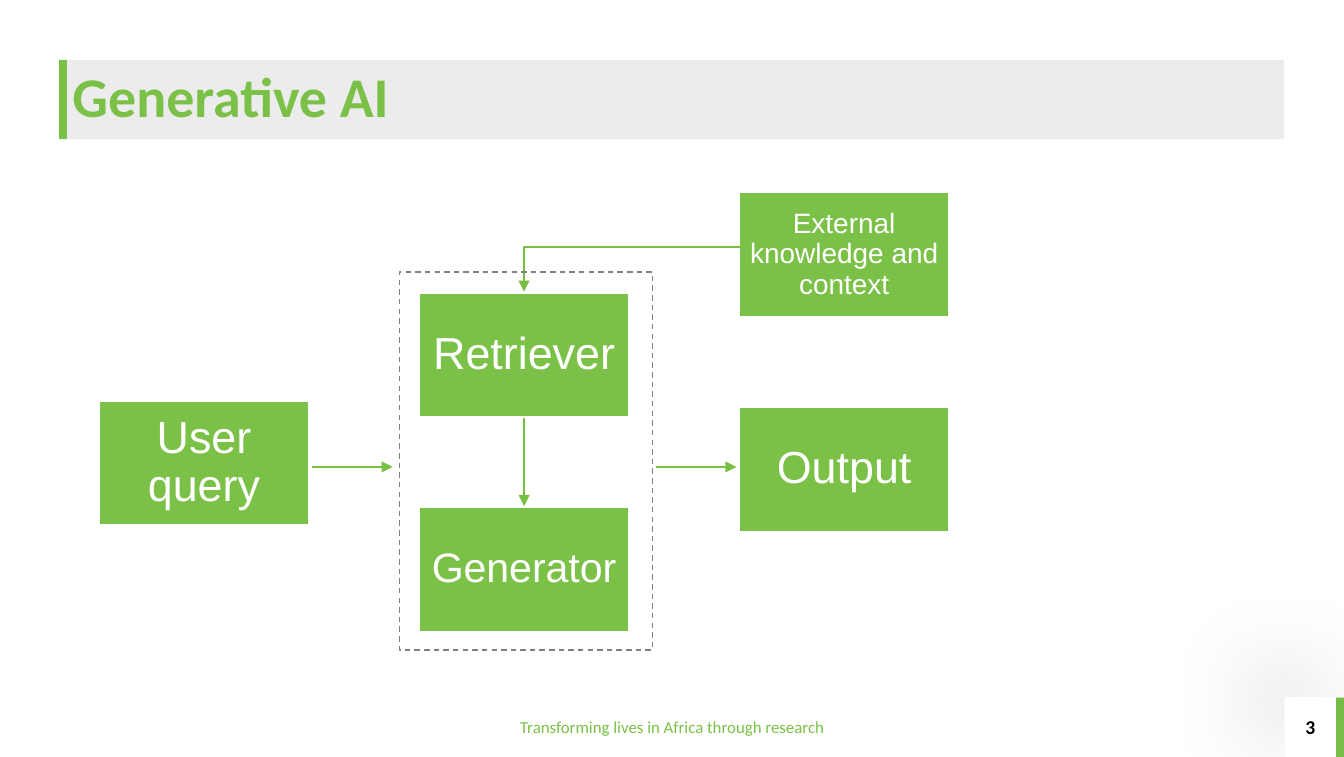
from dataclasses import dataclass
from typing import Optional

from lxml import etree
from pptx import Presentation
from pptx import util as u
from pptx.dml.color import RGBColor
from pptx.enum import dml, shapes, text
from pptx.oxml.ns import qn

GREEN = RGBColor(0x7B, 0xC1, 0x48)
ARROW_GREEN = RGBColor(0x78, 0xC0, 0x43)
PALE_GREY = RGBColor(0xED, 0xEC, 0xED)
GREY = RGBColor(0x80, 0x80, 0x80)
WHITE = RGBColor(0xFF, 0xFF, 0xFF)
BLACK = RGBColor(0x00, 0x00, 0x00)

BOX_W, BOX_H = 3.99, 2.39
COL_X, COL_STEP = 1.86, 6.05
FLOW_Y = 8.82


@dataclass(frozen=True)
class Label:
    text: str
    size: float
    color: RGBColor
    font: str = "Calibri"
    bold: bool = False
    align: text.PP_ALIGN = text.PP_ALIGN.CENTER
    spacing: float = 1.0
    inset_x: float = 0.1
    inset_y: float = 0.05


@dataclass(frozen=True)
class Step:
    name: str
    col: int
    top: float
    size: float = 24
    inset: float = 0.25


@dataclass(frozen=True)
class Arrow:
    x1: float
    y1: float
    x2: float
    y2: float
    bent: bool = False


STEPS = [
    Step("User query", 0, 7.55),
    Step("Generator", 1, 9.56, 22, 0.23),
    Step("Retriever", 1, 5.51),
    Step("Output", 2, 7.67),
    Step("External knowledge and context", 2, 3.62, 15, 0.15),
]
MID_X = COL_X + COL_STEP + BOX_W / 2
ELBOW = Arrow(14.02, 4.67, MID_X, 5.51, bent=True)
INNER = Arrow(MID_X, 5.51 + BOX_H, MID_X, 9.56)
FLOWS = [Arrow(5.89, FLOW_Y, 7.42, FLOW_Y), Arrow(12.4, FLOW_Y, 13.92, FLOW_Y)]


def add_label(sp, label: Label) -> None:
    tf = sp.text_frame
    tf.word_wrap = True
    tf.vertical_anchor = text.MSO_ANCHOR.MIDDLE
    tf.margin_left = tf.margin_right = u.Cm(label.inset_x)
    tf.margin_top = tf.margin_bottom = u.Cm(label.inset_y)
    p = tf.paragraphs[0]
    p.alignment = label.align
    p.line_spacing = label.spacing
    r = p.add_run()
    r.text = label.text
    r.font.name = label.font
    r.font.size = u.Pt(label.size)
    r.font.bold = label.bold
    r.font.color.rgb = label.color


def add_rect(s, x: float, y: float, w: float, h: float,
             fill: Optional[RGBColor] = None, label: Optional[Label] = None):
    sp = s.shapes.add_shape(shapes.MSO_SHAPE.RECTANGLE, u.Cm(x), u.Cm(y), u.Cm(w), u.Cm(h))
    sp.shadow.inherit = False
    sp.line.fill.background()
    if fill is None:
        sp.fill.background()
    else:
        sp.fill.solid()
        sp.fill.fore_color.rgb = fill
    if label is not None:
        add_label(sp, label)
    return sp


def add_soft_shadow(sp) -> None:
    effects = sp._element.spPr.find(qn("a:effectLst"))
    shadow = etree.SubElement(effects, qn("a:outerShdw"), blurRad=str(u.Pt(50)),
                              dist=str(u.Pt(20)), dir=str(225 * 60000),
                              algn="br", rotWithShape="0")
    color = etree.SubElement(shadow, qn("a:srgbClr"), val=str(BLACK))
    etree.SubElement(color, qn("a:alpha"), val="20000")


def add_step(s, step: Step):
    label = Label(step.name, step.size, WHITE, font="Arial", spacing=0.9,
                  inset_x=step.inset, inset_y=step.inset)
    sp = add_rect(s, COL_X + step.col * COL_STEP, step.top, BOX_W, BOX_H, GREEN, label)
    sp.line.color.rgb = WHITE
    sp.line.width = u.Pt(2)
    return sp


def add_arrow(s, arrow: Arrow):
    kind = shapes.MSO_CONNECTOR.ELBOW if arrow.bent else shapes.MSO_CONNECTOR.STRAIGHT
    cxn = s.shapes.add_connector(kind, u.Cm(arrow.x1), u.Cm(arrow.y1),
                                 u.Cm(arrow.x2), u.Cm(arrow.y2))
    cxn.line.color.rgb = ARROW_GREEN
    cxn.line.width = u.Pt(0.75)
    sp_pr = cxn._element.spPr
    if arrow.bent:
        sp_pr.find(qn("a:prstGeom")).set("prst", "bentConnector2")
    etree.SubElement(sp_pr.find(qn("a:ln")), qn("a:tailEnd"), type="triangle")
    etree.SubElement(sp_pr, qn("a:effectLst"))
    return cxn


def main() -> None:
    prs = Presentation()
    prs.slide_width, prs.slide_height = u.Cm(25.4), u.Cm(14.3)
    s = prs.slides.add_slide(prs.slide_layouts[6])

    add_rect(s, 25.25, 13.18, 0.15, 1.12, GREEN)
    add_rect(s, 1.12, 1.13, 0.15, 1.5, GREEN)
    add_rect(s, 1.27, 1.13, 23, 1.5, PALE_GREY,
             Label("Generative AI", 30, GREEN, bold=True,
                   align=text.PP_ALIGN.LEFT, spacing=0.9))
    number = add_rect(s, 24.28, 13.17, 0.97, 1.13, WHITE, Label("3", 10.5, BLACK, bold=True))
    add_soft_shadow(number)
    add_rect(s, 9.08, 13.17, 7.24, 1.13, WHITE,
             Label("Transforming lives in Africa through research", 9, GREEN))

    boxes = {step.name: add_step(s, step) for step in STEPS}
    add_arrow(s, ELBOW)
    inner = add_arrow(s, INNER)
    inner.begin_connect(boxes["Retriever"], 2)
    inner.end_connect(boxes["Generator"], 0)

    frame = add_rect(s, 7.55, 5.14, 4.78, 7.14)
    frame.line.color.rgb = GREY
    frame.line.width = u.Pt(0.75)
    frame.line.dash_style = dml.MSO_LINE.DASH

    for arrow in FLOWS:
        add_arrow(s, arrow)

    prs.save("out.pptx")


if __name__ == "__main__":
    main()
